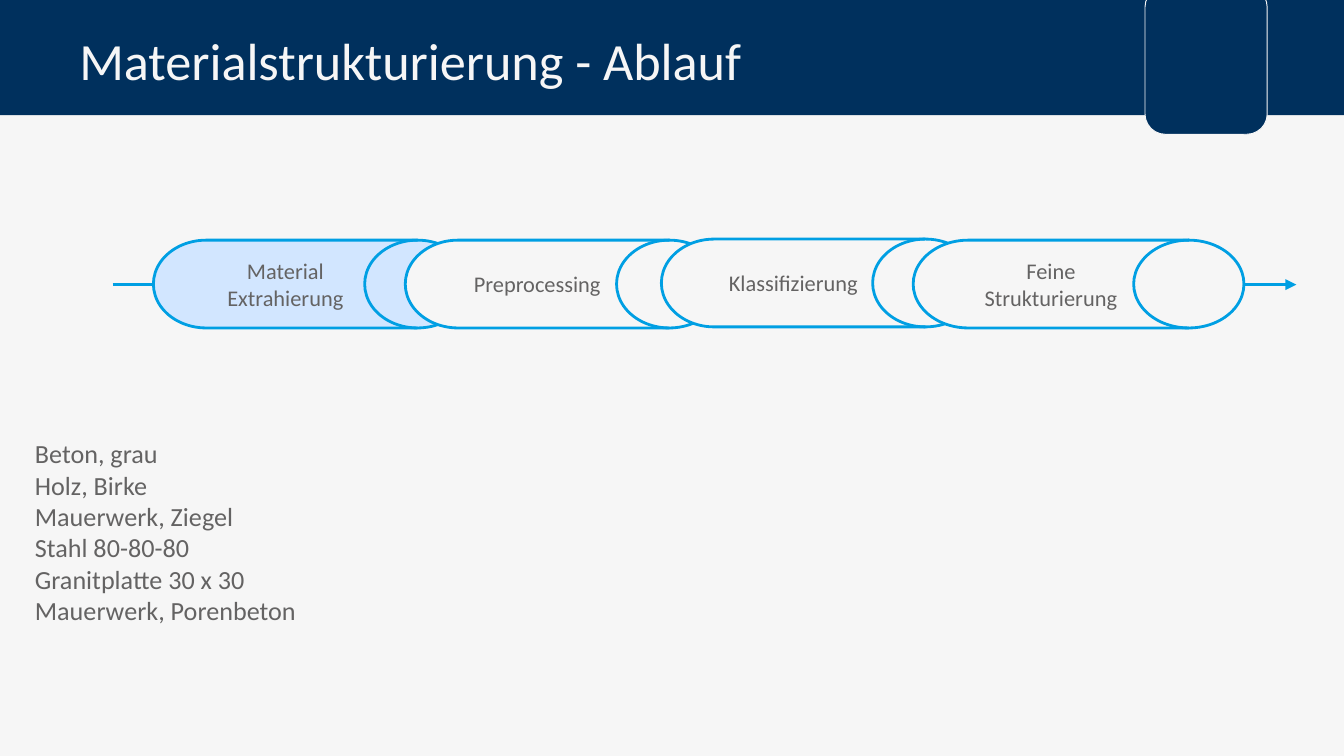
from lxml import etree
from pptx import Presentation
from pptx.dml.color import RGBColor
from pptx.enum.shapes import MSO_CONNECTOR, MSO_SHAPE
from pptx.enum.text import MSO_ANCHOR, PP_ALIGN
from pptx.oxml.ns import qn
from pptx.util import Cm, Pt

RECTANGLE = MSO_SHAPE.RECTANGLE
ROUNDED = MSO_SHAPE.ROUNDED_RECTANGLE
DRUM = MSO_SHAPE.FLOWCHART_DIRECT_ACCESS_STORAGE
STRAIGHT = MSO_CONNECTOR.STRAIGHT
MIDDLE = MSO_ANCHOR.MIDDLE
CENTER = PP_ALIGN.CENTER
LEFT = PP_ALIGN.LEFT

NAVY = RGBColor(0x00, 0x30, 0x5D)
CYAN = RGBColor(0x00, 0x9F, 0xE3)
LIGHT_BLUE = RGBColor(0xD2, 0xE6, 0xFF)
PALE = RGBColor(0xF6, 0xF6, 0xF6)
GRAY = RGBColor(0x64, 0x63, 0x63)


def add_box(kind, left, top, width, height, fill, line=None, line_width=0):
    shape = slide.shapes.add_shape(kind, Cm(left), Cm(top), Cm(width), Cm(height))
    shape.shadow.inherit = False
    shape.fill.solid()
    shape.fill.fore_color.rgb = fill
    if line is None:
        shape.line.fill.background()
    else:
        shape.line.color.rgb = line
        shape.line.width = Pt(line_width)
    return shape


def write_text(frame, lines, size, color, alignment):
    frame.text = "\n".join(lines)
    for paragraph in frame.paragraphs:
        paragraph.alignment = alignment
        paragraph.font.name = "Calibri"
        paragraph.font.size = Pt(size)
        paragraph.font.color.rgb = color


presentation = Presentation()
presentation.slide_width = Cm(25.4)
presentation.slide_height = Cm(14.29)
slide = presentation.slides.add_slide(presentation.slide_layouts[6])
slide.background.fill.solid()
slide.background.fill.fore_color.rgb = PALE

add_box(RECTANGLE, -0.05, 0, 25.45, 2.18, NAVY)
add_box(ROUNDED, 21.64, -0.25, 2.31, 2.79, NAVY, PALE, 0.5)

arrow = slide.shapes.add_connector(STRAIGHT, Cm(2.13), Cm(5.38), Cm(24.5), Cm(5.38))
arrow.line.color.rgb = CYAN
arrow.line.width = Pt(1.5)
line_properties = arrow._element.spPr.find(qn("a:ln"))
etree.SubElement(line_properties, qn("a:tailEnd"), type="triangle")
etree.SubElement(arrow._element.spPr, qn("a:effectLst"))

title = slide.shapes.add_textbox(Cm(1.5), Cm(0.33), Cm(20.14), Cm(1.52))
title_frame = title.text_frame
title_frame.word_wrap = True
title_frame.vertical_anchor = MIDDLE
title_frame.margin_left = title_frame.margin_right = 0
title_frame.margin_top = Cm(0.2)
write_text(title_frame, ["Materialstrukturierung - Ablauf"], 28, PALE, LEFT)

steps = [
    ("Material Extrahierung", 2.9, 4.54, 5.99, LIGHT_BLUE),
    ("Preprocessing", 7.66, 4.54, 5.99, PALE),
    ("Klassifizierung", 12.5, 4.52, 5.99, PALE),
    ("Feine Strukturierung", 17.26, 4.54, 6.25, PALE),
]
for label, left, top, width, fill in steps:
    drum = add_box(DRUM, left, top, width, 1.66, fill, CYAN, 1.5)
    drum.text_frame.word_wrap = True
    drum.text_frame.vertical_anchor = MIDDLE
    write_text(drum.text_frame, [label], 12, GRAY, CENTER)

materials = [
    "Beton, grau",
    "Holz, Birke",
    "Mauerwerk, Ziegel",
    "Stahl 80-80-80",
    "Granitplatte 30 x 30",
    "Mauerwerk, Porenbeton",
]
material_list = slide.shapes.add_textbox(Cm(0.41), Cm(8.15), Cm(5.49), Cm(3.84))
material_list.text_frame.word_wrap = False
write_text(material_list.text_frame, materials, 14, GRAY, LEFT)

presentation.save("out.pptx")
